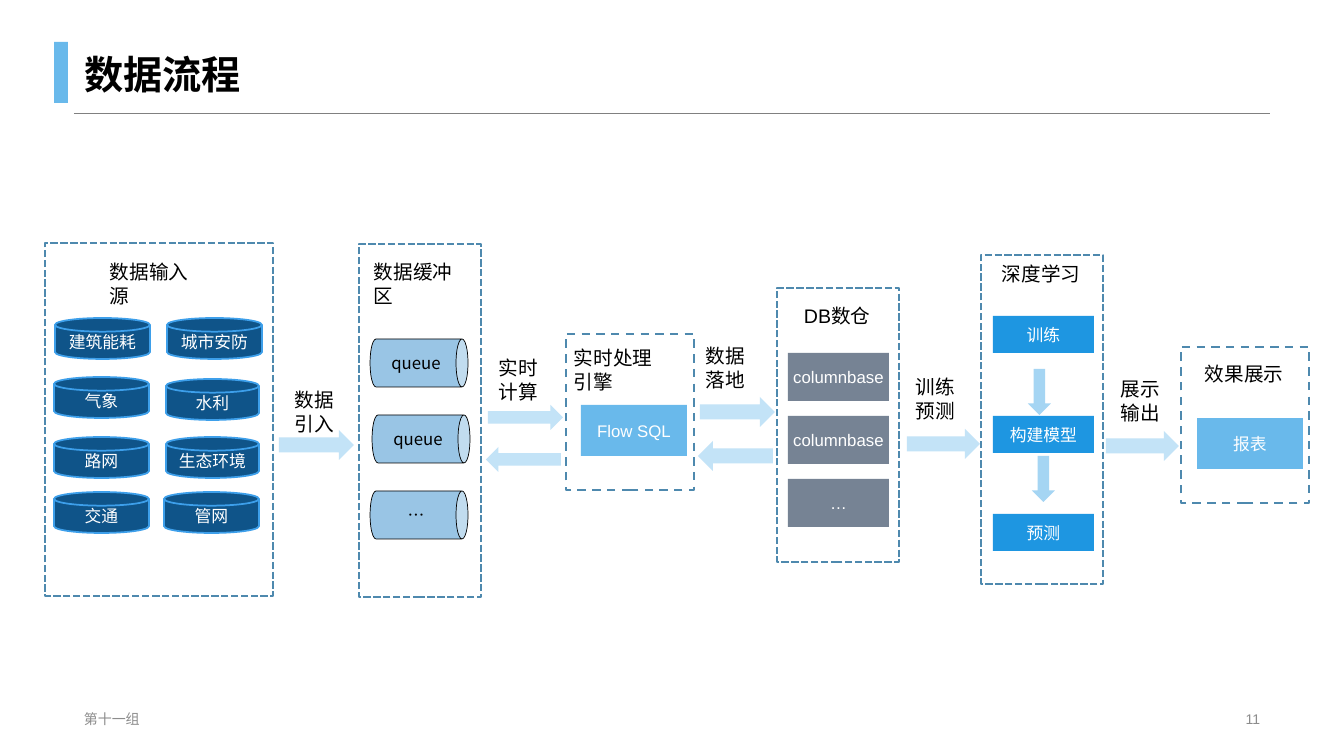
from lxml import etree
from pptx import Presentation
from pptx import util as u
from pptx.dml.color import RGBColor
from pptx.enum import dml, shapes, text
from pptx.oxml.ns import qn

PX = 914400 / 100.8
BLACK = RGBColor(0x00, 0x00, 0x00)
WHITE = RGBColor(0xFF, 0xFF, 0xFF)
RULE_GRAY = RGBColor(0x80, 0x80, 0x80)
FOOTER_GRAY = RGBColor(0x8C, 0x8C, 0x8C)
FRAME_BLUE = RGBColor(0x4E, 0x89, 0xAE)
SKY = RGBColor(0x69, 0xB9, 0xEB)
NAVY = RGBColor(0x0F, 0x54, 0x89)
DISK_EDGE = RGBColor(0x3D, 0x9F, 0xEA)
QUEUE_BLUE = RGBColor(0x00, 0x70, 0xC0)
SLATE = RGBColor(0x76, 0x83, 0x94)
MODEL_BLUE = RGBColor(0x1E, 0x96, 0xE1)
FLOW_BLUE = RGBColor(0xC3, 0xE3, 0xF7)
STEP_BLUE = RGBColor(0xA5, 0xD5, 0xF3)

KIND = shapes.MSO_SHAPE
ALIGN = text.PP_ALIGN
ANCHOR = text.MSO_ANCHOR
DASH = dml.MSO_LINE


def write(owner, words, size=12, color=WHITE, font="Arial", bold=False,
          align=ALIGN.CENTER, anchor=ANCHOR.MIDDLE, inset=0, spacing=None):
    frame = owner.text_frame
    frame.word_wrap = True
    frame.auto_size = text.MSO_AUTO_SIZE.NONE
    frame.vertical_anchor = anchor
    frame.margin_left = frame.margin_right = u.Inches(inset)
    frame.text = words
    for paragraph in frame.paragraphs:
        paragraph.alignment = align
        paragraph.line_spacing = spacing
        for run in paragraph.runs:
            run.font.name = font
            run.font.size = u.Pt(size)
            run.font.bold = bold
            run.font.color.rgb = color
            etree.SubElement(run.font._element, qn("a:ea"), typeface="Noto Sans CJK SC")


def add_part(kind, box, fill=None, edge=None, weight=1.0, dash=None):
    part = slide.shapes.add_shape(kind, *[round(n * PX) for n in box])
    part.shadow.inherit = False
    if fill is None:
        part.fill.background()
    else:
        part.fill.solid()
        part.fill.fore_color.rgb = fill
    if edge is None:
        part.line.fill.background()
    else:
        part.line.color.rgb = edge
        part.line.width = u.Pt(weight)
        part.line.dash_style = dash
    return part


deck = Presentation()
deck.slide_width = round(1344 * PX)
deck.slide_height = round(756 * PX)
slide = deck.slides.add_slide(deck.slide_layouts[5])

title_rule = slide.shapes.add_connector(
    shapes.MSO_CONNECTOR.STRAIGHT, *[round(n * PX) for n in (74, 113, 1270, 113)])
title_rule.line.color.rgb = RULE_GRAY
title_rule.line.width = u.Pt(0.25)
etree.SubElement(title_rule._element.spPr, qn("a:effectLst"))
add_part(KIND.RECTANGLE, (54, 42, 14, 61), SKY)

title = slide.shapes.title
title.left, title.top, title.width, title.height = [
    round(n * PX) for n in (74, -10, 1197, 113)]
write(title, "数据流程", size=28, color=BLACK, bold=True, align=ALIGN.LEFT,
      anchor=ANCHOR.BOTTOM, inset=0.1, spacing=0.9)

for box, words, align in [
    ((74, 707, 457, 23), "第十一组", ALIGN.LEFT),
    ((950, 707, 320, 23), "11", ALIGN.RIGHT),
]:
    footer = slide.shapes.add_textbox(*[round(n * PX) for n in box])
    write(footer, words, size=10, color=FOOTER_GRAY, align=align, inset=0.1)

for box, weight, dash in [
    ((45, 243, 228, 353), 1.75, DASH.SQUARE_DOT),
    ((359, 244, 122, 353), 1.75, DASH.SQUARE_DOT),
    ((566, 334, 128, 156), 1.5, DASH.DASH),
    ((777, 288, 122, 274), 1.75, DASH.SQUARE_DOT),
    ((981, 255, 122, 329), 1.75, DASH.SQUARE_DOT),
    ((1181, 347, 128, 156), 1.5, DASH.DASH),
]:
    add_part(KIND.RECTANGLE, box, edge=FRAME_BLUE, weight=weight, dash=dash)

for left, top, width, source in [
    (55, 318, 95, "建筑能耗"), (167, 318, 95, "城市安防"),
    (54, 377, 95, "气象"), (166, 379, 93, "水利"),
    (54, 437, 95, "路网"), (166, 437, 93, "生态环境"),
    (54, 492, 95, "交通"), (164, 492, 95, "管网"),
]:
    disk = add_part(KIND.FLOWCHART_MAGNETIC_DISK, (left, top, width, 41),
                    NAVY, DISK_EDGE, 1.25)
    write(disk, source)

for row, (left, topic) in enumerate([(395, "queue"), (397, "queue"), (395, "…")]):
    buffer = add_part(KIND.CAN, (left, 314 + 76 * row, 48, 98), QUEUE_BLUE, BLACK, 0.5)
    buffer.rotation = 90
    tint = buffer._element.spPr.find(qn("a:solidFill"))[0]
    etree.SubElement(tint, qn("a:alpha"), val="40000")
    write(buffer, topic, color=BLACK, font="Noto Sans CJK SC")
    buffer.text_frame._txBody.bodyPr.set("vert", "vert270")

for row, table in enumerate(["columnbase", "columnbase", "…"]):
    write(add_part(KIND.RECTANGLE, (788, 353 + 63 * row, 101, 48), SLATE), table)

for top, step in [(316, "训练"), (416, "构建模型"), (514, "预测")]:
    write(add_part(KIND.RECTANGLE, (993, top, 101, 37), MODEL_BLUE), step)

for left, top, engine in [(581, 405, "Flow SQL"), (1197, 418, "报表")]:
    write(add_part(KIND.RECTANGLE, (left, top, 106, 51), SKY), engine)

for left, top in [(1028, 369), (1032, 456)]:
    add_part(KIND.DOWN_ARROW, (left, top, 23, 46), STEP_BLUE)

for kind, left, top, width, height in [
    (KIND.RIGHT_ARROW, 279, 430, 75, 30),
    (KIND.RIGHT_ARROW, 488, 405, 75, 25),
    (KIND.LEFT_ARROW, 486, 447, 75, 25),
    (KIND.RIGHT_ARROW, 700, 397, 75, 30),
    (KIND.LEFT_ARROW, 698, 441, 75, 30),
    (KIND.RIGHT_ARROW, 907, 429, 73, 30),
    (KIND.RIGHT_ARROW, 1106, 431, 73, 30),
]:
    add_part(kind, (left, top, width, height), FLOW_BLUE)

for left, top, width, height, words in [
    (100, 255, 111, 58, "数据输入源"),
    (364, 255, 109, 58, "数据缓冲区"),
    (564, 341, 118, 58, "实时处理引擎"),
    (794, 299, 88, 58, "DB数仓"),
    (992, 257, 100, 34, "深度学习"),
    (1195, 357, 100, 34, "效果展示"),
    (285, 383, 60, 58, "数据\n引入"),
    (489, 351, 60, 58, "实时\n计算"),
    (696, 339, 60, 58, "数据\n落地"),
    (906, 370, 60, 58, "训练\n预测"),
    (1111, 372, 60, 58, "展示\n输出"),
]:
    label = slide.shapes.add_textbox(*[round(n * PX) for n in (left, top, width, height)])
    write(label, words, size=14, color=BLACK, align=ALIGN.LEFT,
          anchor=ANCHOR.TOP, inset=0.1)

deck.save("out.pptx")
